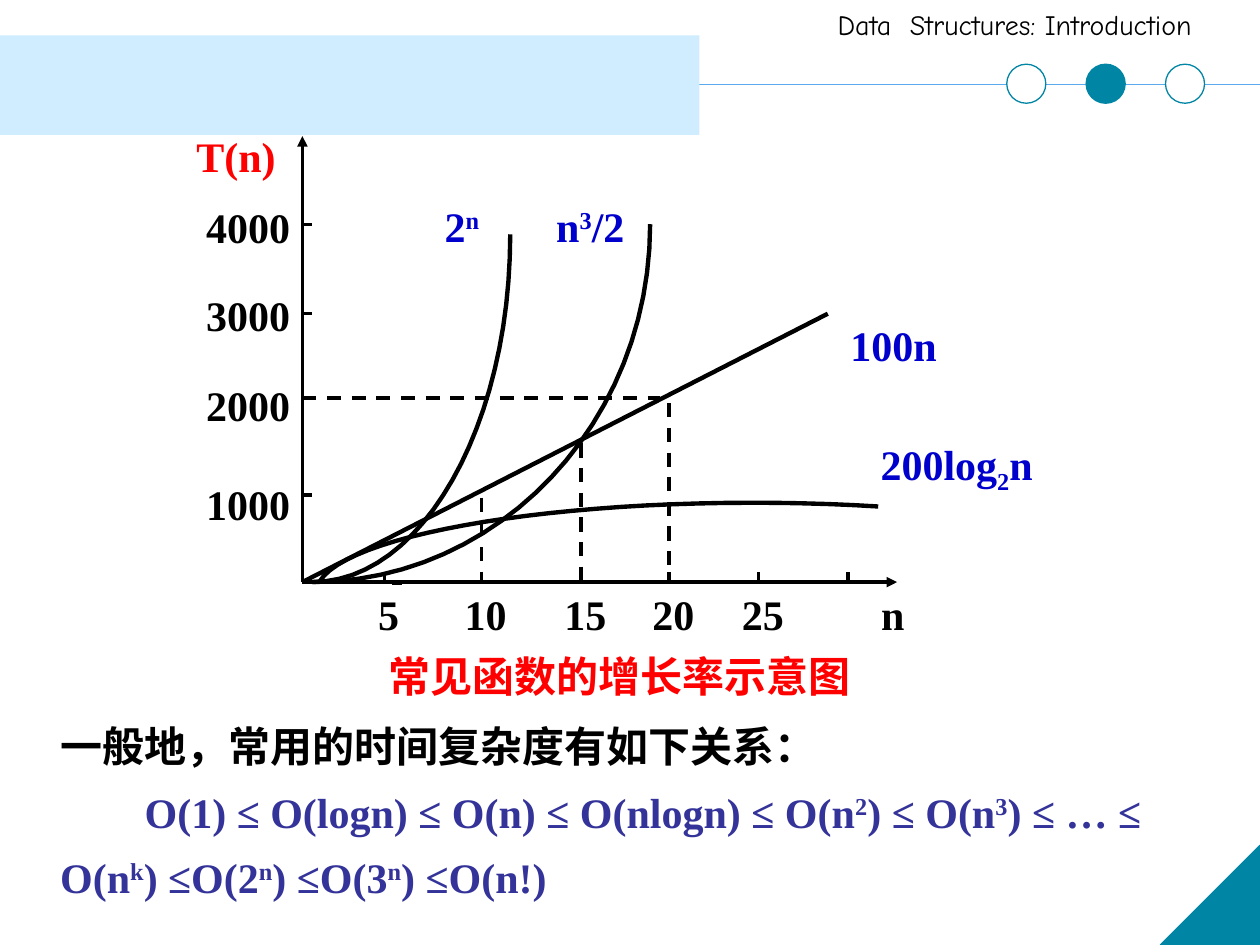
"""Build the slide on growth rates of common functions."""
from lxml.etree import SubElement
from pptx import Presentation
from pptx.dml.color import RGBColor
from pptx.enum.dml import MSO_LINE
from pptx.enum.shapes import MSO_CONNECTOR, MSO_SHAPE
from pptx.enum.text import PP_ALIGN
from pptx.oxml.ns import qn
from pptx.util import Inches, Pt

BLACK = RGBColor(0x00, 0x00, 0x00)
WHITE = RGBColor(0xFF, 0xFF, 0xFF)
RED = RGBColor(0xFF, 0x00, 0x00)
BLUE = RGBColor(0x00, 0x00, 0xCC)
INDIGO = RGBColor(0x33, 0x33, 0x99)
TEAL = RGBColor(0x00, 0x85, 0xA4)
SKY = RGBColor(0x5A, 0xAA, 0xED)
PALE_BLUE = RGBColor(0xCF, 0xED, 0xFE)
SERIF = "Times New Roman"
CHINESE = "Noto Sans CJK SC"
HEADER_FONT = "Comic Neue"

ORIGIN_X, ORIGIN_Y = 2.4, 4.62
TICK = 0.08
X_TICKS = [(3.05, "5"), (3.82, "10"), (4.61, "15"), (5.31, "20"), (6.02, "25"), (6.73, "")]
Y_TICKS = [(3.93, 3.75, "1000"), (3.16, 2.96, "2000"), (2.49, 2.25, "3000"), (1.78, 1.55, "4000")]
DASHED_LINES = [
    (3.82, 3.95, 3.82, 4.54),
    (4.61, 3.52, 4.61, ORIGIN_Y),
    (5.31, 3.2, 5.31, ORIGIN_Y),
    (ORIGIN_X, 3.16, 5.24, 3.16),
]
CURVES = [
    [(6.97, 4.02), (6.65, 4), (6.31, 3.99), (5.97, 3.99), (4.23, 3.99), (2.76, 4.26), (2.54, 4.61)],
    [(2.48, 4.62), (3.96, 4.62), (5.16, 3.35), (5.16, 1.78)],
    [(2.48, 4.62), (3.35, 4.62), (4.05, 3.38), (4.05, 1.86)],
]
CURVE_LABELS = [
    ("2|n", 3.27, 1.54, 0.79, PP_ALIGN.CENTER, 30),
    ("n|3|/2", 4.29, 1.54, 0.79, PP_ALIGN.CENTER, 30),
    ("100n", 6.65, 2.49, 1.81, PP_ALIGN.LEFT, 30),
    ("200log|2|n", 6.89, 3.43, 1.73, PP_ALIGN.LEFT, -25),
]
ORDER = ("O(1) ≤ O(logn) ≤ O(n) ≤ O(nlogn) ≤ O(n|2|) ≤ O(n|3|) ≤ … ≤ "
         "O(n|k|) ≤O(2|n|) ≤O(3|n|) ≤O(n!)")


class SlideBuilder:
    """Hold the text style and the current slide."""

    def __init__(self, slide, font=SERIF, size=24):
        self.slide = slide
        self.font = font
        self.size = size

    def shape(self, kind, left, top, width, height, fill, line=None):
        """Add a preset shape with a plain fill."""
        shape = self.slide.shapes.add_shape(
            kind, Inches(left), Inches(top), Inches(width), Inches(height))
        shape.shadow.inherit = False
        shape.fill.solid()
        shape.fill.fore_color.rgb = fill
        if line is None:
            shape.line.fill.background()
        else:
            shape.line.color.rgb = line
            shape.line.width = Pt(0.75)
        return shape

    def line(self, x1, y1, x2, y2, color=BLACK, width=2, dashed=False, arrow=False):
        """Add a straight line, dashed or with an arrowhead at its end."""
        connector = self.slide.shapes.add_connector(
            MSO_CONNECTOR.STRAIGHT, Inches(x1), Inches(y1), Inches(x2), Inches(y2))
        connector.line.color.rgb = color
        connector.line.width = Pt(width)
        if dashed:
            connector.line.dash_style = MSO_LINE.DASH
        if arrow:
            SubElement(connector.get_or_add_ln(), qn("a:tailEnd"), type="triangle")
        SubElement(connector._element.spPr, qn("a:effectLst"))

    def curve(self, points, steps=24):
        """Add an open outline through joined cubic Bézier segments."""
        outline = []
        for first in range(0, len(points) - 1, 3):
            segment = points[first:first + 4]
            for step in range(steps + 1):
                t = step / steps
                weights = ((1 - t) ** 3, 3 * t * (1 - t) ** 2, 3 * t ** 2 * (1 - t), t ** 3)
                outline.append(tuple(
                    Inches(sum(weight * point[axis] for weight, point in zip(weights, segment)))
                    for axis in (0, 1)))
        builder = self.slide.shapes.build_freeform(*outline[0])
        builder.add_line_segments(outline[1:], close=False)
        shape = builder.convert_to_shape()
        shape.shadow.inherit = False
        shape.fill.background()
        shape.line.color.rgb = BLACK
        shape.line.width = Pt(2.5)

    def add_runs(self, paragraph, text, color, baseline=30, font=None, size=None, bold=True):
        """Fill a paragraph; every second part between bars is raised or lowered."""
        for index, part in enumerate(text.split("|")):
            run = paragraph.add_run()
            run.text = part
            run.font.name = font or self.font
            run.font.size = Pt(size or self.size)
            run.font.bold = bold
            run.font.color.rgb = color
            properties = run._r.get_or_add_rPr()
            SubElement(properties, qn("a:ea"), typeface=CHINESE)
            if index % 2:
                properties.set("baseline", str(baseline * 1000))

    def text(self, text, left, top, width, height=0.5, color=BLACK,
             align=PP_ALIGN.CENTER, **style):
        """Add a wrapping text box with one paragraph."""
        box = self.slide.shapes.add_textbox(
            Inches(left), Inches(top), Inches(width), Inches(height))
        box.text_frame.word_wrap = True
        paragraph = box.text_frame.paragraphs[0]
        paragraph.alignment = align
        self.add_runs(paragraph, text, color, **style)
        return box.text_frame


def draw_frame(builder):
    """Draw the header band, the circles and the corner."""
    builder.line(0, 0.67, 10, 0.67, SKY, 1)
    corner = builder.shape(MSO_SHAPE.RIGHT_TRIANGLE, 9.21, 6.71, 0.79, 0.79, TEAL, TEAL)
    corner._element.spPr.get_or_add_xfrm().set("flipH", "1")
    builder.text("Data  Structures: Introduction", 6.55, 0.01, 3.45, 0.37,
                 align=PP_ALIGN.LEFT, font=HEADER_FONT, size=16, bold=False)
    builder.shape(MSO_SHAPE.RECTANGLE, 0, 0.28, 5.55, 0.79, PALE_BLUE)
    for index, fill in enumerate((WHITE, TEAL, WHITE)):
        builder.shape(MSO_SHAPE.OVAL, 7.99 + 0.63 * index, 0.51, 0.31, 0.31, fill, TEAL)


def draw_graph(builder):
    """Draw the axes, the curves and their labels."""
    builder.line(ORIGIN_X, ORIGIN_Y, ORIGIN_X, 1.08, arrow=True)
    builder.line(ORIGIN_X, ORIGIN_Y, 7.12, ORIGIN_Y, arrow=True)
    builder.line(3.11, 4.64, 3.19, 4.64, width=0.75)
    for x, label in X_TICKS:
        builder.line(x, ORIGIN_Y - TICK, x, ORIGIN_Y)
        if label:
            builder.text(label, x - 0.24, ORIGIN_Y, 0.55)
    for y, label_top, label in Y_TICKS:
        builder.line(ORIGIN_X, y, ORIGIN_X + TICK, y)
        builder.text(label, 1.38, label_top, 1.18)
    for ends in DASHED_LINES:
        builder.line(*ends, dashed=True)
    builder.line(ORIGIN_X, ORIGIN_Y, 6.57, 2.49, width=2.5)
    for points in CURVES:
        builder.curve(points)
    for label, left, top, width, align, baseline in CURVE_LABELS:
        builder.text(label, left, top, width, color=BLUE, align=align, baseline=baseline)
    builder.text("T(n)", 1.46, 0.99, 1.26, color=RED, align=PP_ALIGN.LEFT)
    builder.text("n", 6.81, ORIGIN_Y, 0.55)
    builder.text("常见函数的增长率示意图", 2.36, 5.11, 5.12, color=RED, font=CHINESE)


def draw_conclusion(builder):
    """Set out the ordering of time complexities."""
    frame = builder.text("一般地，常用的时间复杂度有如下关系：", 0.38, 5.55, 9.37, 1.66,
                         align=PP_ALIGN.LEFT)
    paragraph = frame.add_paragraph()
    paragraph._p.get_or_add_pPr().set("indent", str(Inches(0.67)))
    builder.add_runs(paragraph, ORDER, INDIGO)
    for paragraph in frame.paragraphs:
        paragraph.line_spacing = 1.3


def main():
    """Build and save the presentation."""
    presentation = Presentation()
    presentation.slide_width = Inches(10)
    presentation.slide_height = Inches(7.5)
    builder = SlideBuilder(presentation.slides.add_slide(presentation.slide_layouts[6]))
    draw_frame(builder)
    draw_graph(builder)
    draw_conclusion(builder)
    presentation.save("out.pptx")


if __name__ == "__main__":
    main()
